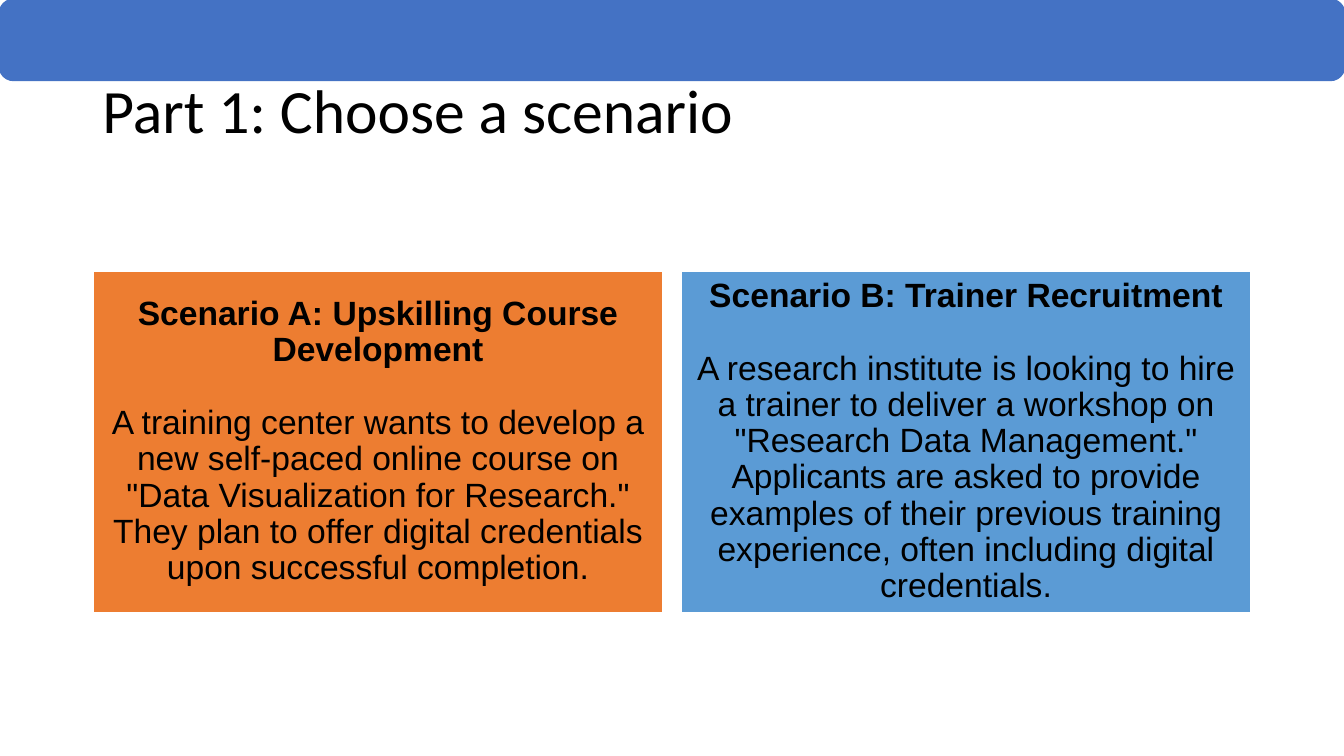
from dataclasses import dataclass
from pptx import Presentation
from pptx.dml.color import RGBColor
from pptx.enum.shapes import MSO_SHAPE
from pptx.enum.text import MSO_ANCHOR, PP_ALIGN
from pptx.util import Pt

TITLE = "Part 1: Choose a scenario"
SCENARIOS = [
    ("Scenario A: Upskilling Course Development",
     "A training center wants to develop a new self-paced online course on "
     "\"Data Visualization for Research.\" They plan to offer digital "
     "credentials upon successful completion.", "ED7D31"),
    ("Scenario B: Trainer Recruitment",
     "A research institute is looking to hire a trainer to deliver a workshop on "
     "\"Research Data Management.\" Applicants are asked to provide examples of "
     "their previous training experience, often including digital credentials.",
     "5B9BD5"),
]


@dataclass(frozen=True)
class Theme:
    text: str = "000000"
    edge: str = "FFFFFF"
    banner: str = "4472C4"
    title_font: str = "Calibri"
    body_font: str = "Arial"
    title_size: int = 44
    body_size: int = 24
    leading: float = 0.9


THEME = Theme()
SLIDE_W, SLIDE_H = 960, 540
MARGIN, GAP = 66, 12
CARD_TOP, CARD_H = 193, 245
CARD_W = (SLIDE_W - 2 * MARGIN - GAP) / 2


def add_block(s, kind, box, fill, edge):
    sp = s.shapes.add_shape(kind, *map(Pt, box))
    sp.shadow.inherit = False
    sp.fill.solid()
    sp.fill.fore_color.rgb = RGBColor.from_string(fill)
    sp.line.color.rgb = RGBColor.from_string(edge)
    sp.line.width = Pt(2)
    return sp


def write(p, text, font, size, bold=False):
    p.text = text
    p.line_spacing = THEME.leading
    for r in p.runs:
        r.font.name = font
        r.font.size = Pt(size)
        r.font.bold = bold
        r.font.color.rgb = RGBColor.from_string(THEME.text)


def add_title(s):
    sp = s.shapes.title
    sp.left, sp.top, sp.width, sp.height = map(
        Pt, (MARGIN, 28.75, SLIDE_W - 2 * MARGIN, 104.4))
    tf = sp.text_frame
    tf.vertical_anchor = MSO_ANCHOR.MIDDLE
    p = tf.paragraphs[0]
    write(p, TITLE, THEME.title_font, THEME.title_size)
    p.alignment = PP_ALIGN.LEFT


def add_card(s, i, heading, body, fill):
    left = MARGIN + i * (CARD_W + GAP)
    sp = add_block(s, MSO_SHAPE.RECTANGLE, (left, CARD_TOP, CARD_W, CARD_H),
                   fill, THEME.edge)
    tf = sp.text_frame
    tf.word_wrap = True
    tf.vertical_anchor = MSO_ANCHOR.MIDDLE
    tf.margin_left = tf.margin_right = tf.margin_top = tf.margin_bottom = Pt(7.2)
    for p, text, bold in ((tf.paragraphs[0], heading, True),
                          (tf.add_paragraph(), body, False)):
        write(p, text, THEME.body_font, THEME.body_size, bold)
        p.alignment = PP_ALIGN.CENTER
    p.space_before = Pt(26)


def main():
    prs = Presentation()
    prs.slide_width, prs.slide_height = Pt(SLIDE_W), Pt(SLIDE_H)
    s = prs.slides.add_slide(prs.slide_layouts[5])
    add_title(s)
    for i, scenario in enumerate(SCENARIOS):
        add_card(s, i, *scenario)
    banner = add_block(s, MSO_SHAPE.ROUNDED_RECTANGLE, (0, 0, SLIDE_W, 57),
                       THEME.banner, THEME.banner)
    banner.adjustments[0] = 0.17
    prs.save("out.pptx")


if __name__ == "__main__":
    main()
